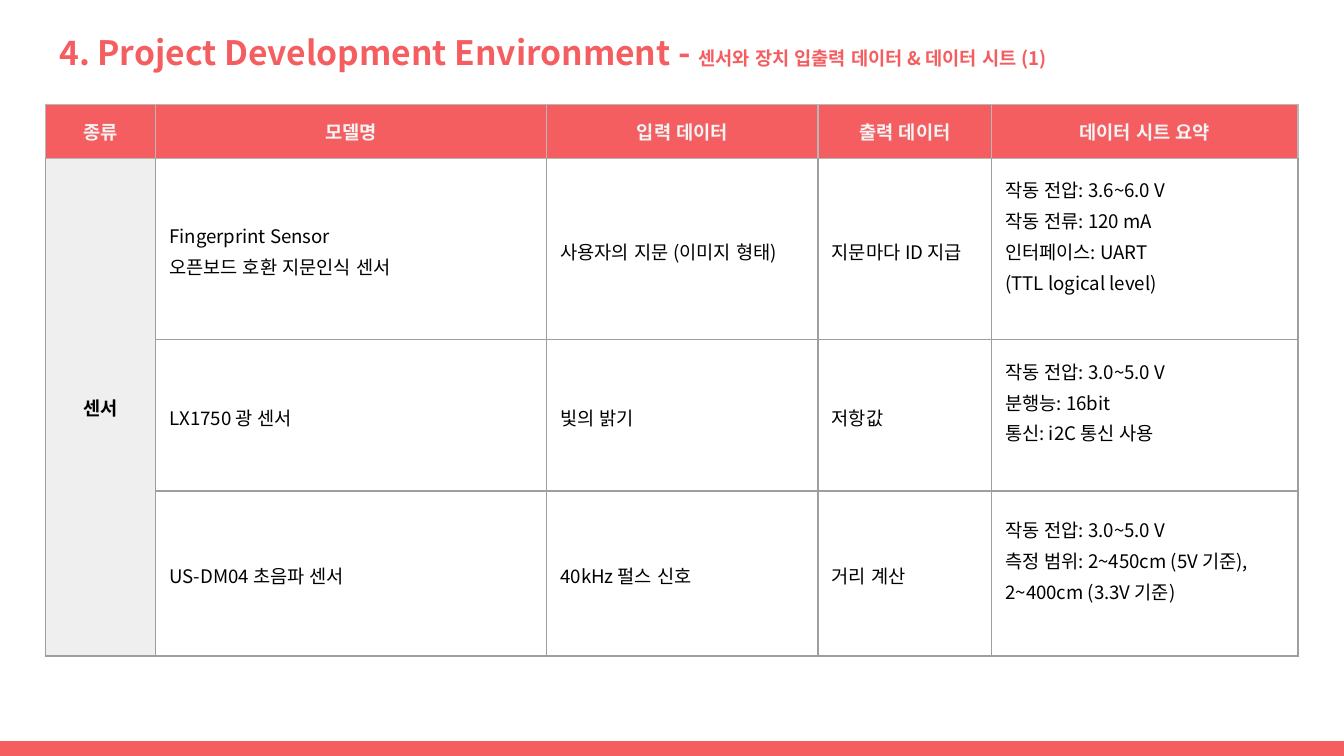
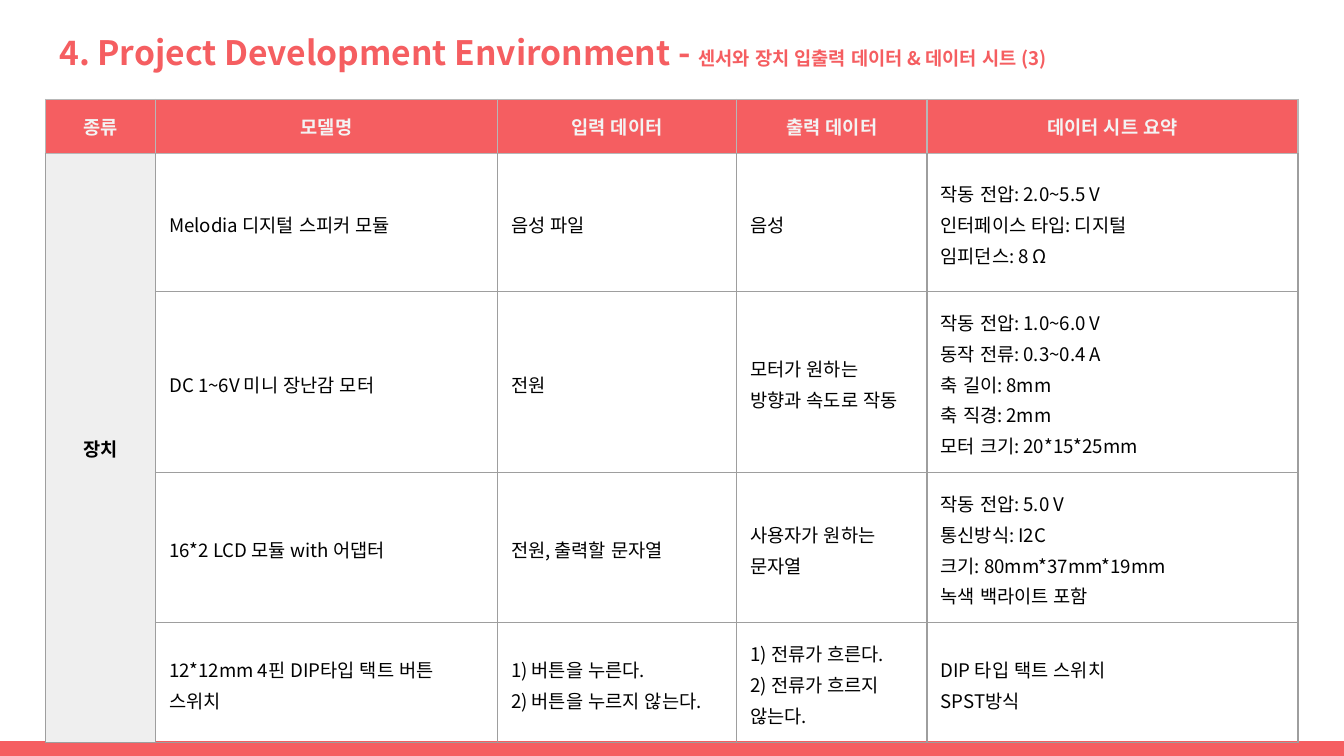
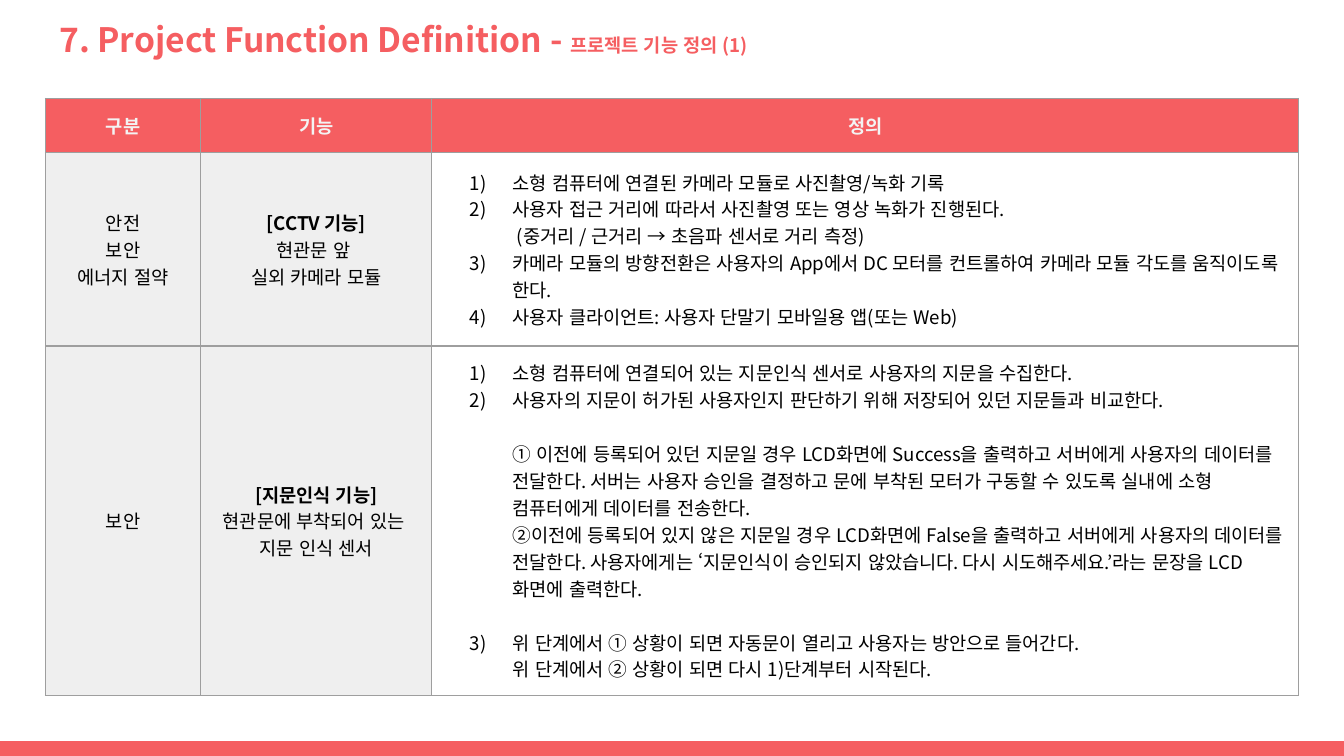
"""Build three slides of tables about project sensors, devices and functions."""
from dataclasses import dataclass

from lxml.etree import SubElement
from pptx import Presentation
from pptx.dml.color import RGBColor
from pptx.enum.lang import MSO_LANGUAGE_ID
from pptx.enum.shapes import MSO_SHAPE
from pptx.enum.text import MSO_ANCHOR, PP_ALIGN
from pptx.oxml.ns import qn
from pptx.util import Cm, Pt


@dataclass(frozen=True)
class Theme:
    font: str = "Noto Sans CJK KR"
    accent: str = "F55E61"
    header_text: str = "F3F3F3"
    text: str = "000000"
    label_fill: str = "EFEFEF"
    border: str = "9E9E9E"
    header_border: str = "B7B7B7"
    title_size: float = 18
    body_size: float = 10
    blank_line: float = 14.5


@dataclass(frozen=True)
class Line:
    text: str
    bold: bool = False
    indented: bool = False
    numbered: bool = False
    gap: bool = False


THEME = Theme()
SIDE_MARGIN = Cm(0.26)
MARGIN = Cm(0.25)
LEFT = Cm(0.86)


def add_run(paragraph, text, size, color, bold):
    run = paragraph.add_run()
    run.text = text
    run.font.size = Pt(size)
    run.font.bold = bold
    run.font.name = THEME.font
    run.font.language_id = MSO_LANGUAGE_ID.KOREAN
    run.font.color.rgb = RGBColor.from_string(color)
    east_asian = SubElement(run.font._element, qn("a:ea"))
    east_asian.set("typeface", THEME.font)


def style_cell(cell, fill, border, top_border):
    cell.vertical_anchor = MSO_ANCHOR.MIDDLE
    cell.margin_left = cell.margin_right = SIDE_MARGIN
    cell.margin_top = cell.margin_bottom = MARGIN
    properties = cell._tc.get_or_add_tcPr()
    for side, color in (("L", border), ("R", border), ("T", top_border), ("B", border)):
        edge = SubElement(properties, qn(f"a:ln{side}"), w=str(Pt(0.75)))
        solid = SubElement(edge, qn("a:solidFill"))
        SubElement(solid, qn("a:srgbClr"), val=color)
    if fill:
        cell.fill.solid()
        cell.fill.fore_color.rgb = RGBColor.from_string(fill)
    else:
        cell.fill.background()


environment = "4. Project Development Environment - "
environment_header = ["종류", "모델명", "입력 데이터", "출력 데이터", "데이터 시트 요약"]

pages = [
    {
        "title": environment,
        "subtitle": "센서와 장치 입출력 데이터 & 데이터 시트 (1)",
        "title_top": 0.36,
        "table_top": 1.98,
        "columns": [2.08, 7.39, 5.13, 3.28, 5.79],
        "rows": [1.02, 3.42, 2.86, 3.12],
        "header": environment_header,
        "header_border": THEME.header_border,
        "labels": 1,
        "merged": True,
        "spacing": 1.15,
        "summary_bottom": Cm(0.83),
        "body": [
            ["센서", "Fingerprint Sensor\n오픈보드 호환 지문인식 센서",
             "사용자의 지문 (이미지 형태)", "지문마다 ID 지급",
             "작동 전압: 3.6~6.0 V\n작동 전류: 120 mA\n인터페이스: UART\n(TTL logical level)"],
            ["", "LX1750 광 센서", "빛의 밝기", "저항값",
             "작동 전압: 3.0~5.0 V\n분행능: 16bit\n통신: i2C 통신 사용"],
            ["", "US-DM04 초음파 센서", "40kHz 펄스 신호", "거리 계산",
             "작동 전압: 3.0~5.0 V\n측정 범위: 2~450cm (5V 기준), 2~400cm (3.3V 기준)"],
        ],
    },
    {
        "title": environment,
        "subtitle": "센서와 장치 입출력 데이터 & 데이터 시트 (3)",
        "title_top": 0.36,
        "table_top": 1.88,
        "columns": [2.08, 6.46, 4.52, 3.6, 7.01],
        "rows": [1.02, 2.61, 3.42, 2.84, 2.27],
        "header": environment_header,
        "header_border": THEME.header_border,
        "labels": 1,
        "merged": True,
        "spacing": 1.15,
        "summary_bottom": MARGIN,
        "body": [
            ["장치", "Melodia 디지털 스피커 모듈", "음성 파일", "음성",
             "작동 전압: 2.0~5.5 V\n인터페이스 타입: 디지털\n임피던스: 8 Ω"],
            ["", "DC 1~6V 미니 장난감 모터", "전원", "모터가 원하는 방향과 속도로 작동",
             "작동 전압: 1.0~6.0 V\n동작 전류: 0.3~0.4 A\n축 길이: 8mm\n"
             "축 직경: 2mm\n모터 크기: 20*15*25mm"],
            ["", "16*2 LCD 모듈 with 어댑터", "전원, 출력할 문자열", "사용자가 원하는 문자열",
             "작동 전압: 5.0 V\n통신방식: I2C\n크기: 80mm*37mm*19mm\n녹색 백라이트 포함"],
            ["", "12*12mm 4핀 DIP타입 택트 버튼 스위치",
             "1) 버튼을 누른다.\n2) 버튼을 누르지 않는다.",
             "1) 전류가 흐른다.\n2) 전류가 흐르지 않는다.",
             "DIP 타입 택트 스위치\nSPST방식"],
        ],
    },
    {
        "title": "7. Project Function Definition - ",
        "subtitle": "프로젝트 기능 정의 (1)",
        "title_top": 0.1,
        "table_top": 1.86,
        "columns": [2.93, 4.37, 16.38],
        "rows": [1.02, 3.66, 6.61],
        "header": ["구분", "기능", "정의"],
        "header_border": THEME.border,
        "labels": 2,
        "merged": False,
        "spacing": 1.0,
        "summary_bottom": MARGIN,
        "body": [
            ["안전\n보안\n에너지 절약",
             [Line("[CCTV 기능]", bold=True), Line("현관문 앞 "), Line("실외 카메라 모듈")],
             [Line("소형 컴퓨터에 연결된 카메라 모듈로 사진촬영/녹화 기록", numbered=True),
              Line("사용자 접근 거리에 따라서 사진촬영 또는 영상 녹화가 진행된다.", numbered=True),
              Line(" (중거리 / 근거리 → 초음파 센서로 거리 측정)", indented=True),
              Line("카메라 모듈의 방향전환은 사용자의 App에서 DC 모터를 컨트롤하여 "
                   "카메라 모듈 각도를 움직이도록 한다.", numbered=True),
              Line("사용자 클라이언트: 사용자 단말기 모바일용 앱(또는 Web)", numbered=True)]],
            ["보안",
             [Line("[지문인식 기능]", bold=True), Line("현관문에 부착되어 있는 "),
              Line("지문 인식 센서")],
             [Line("소형 컴퓨터에 연결되어 있는 지문인식 센서로 사용자의 지문을 수집한다.",
                   numbered=True),
              Line("사용자의 지문이 허가된 사용자인지 판단하기 위해 저장되어 있던 "
                   "지문들과 비교한다.", numbered=True),
              Line("① 이전에 등록되어 있던 지문일 경우 LCD화면에 Success을 출력하고 "
                   "서버에게 사용자의 데이터를 전달한다. 서버는 사용자 승인을 결정하고 "
                   "문에 부착된 모터가 구동할 수 있도록 실내에 소형 컴퓨터에게 "
                   "데이터를 전송한다.", indented=True, gap=True),
              Line("②이전에 등록되어 있지 않은 지문일 경우 LCD화면에 False을 출력하고 "
                   "서버에게 사용자의 데이터를 전달한다. 사용자에게는 ‘지문인식이 "
                   "승인되지 않았습니다. 다시 시도해주세요.’라는 문장을 LCD화면에 "
                   "출력한다.", indented=True),
              Line("위 단계에서 ① 상황이 되면 자동문이 열리고 사용자는 방안으로 들어간다.",
                   numbered=True, gap=True),
              Line("위 단계에서 ② 상황이 되면 다시 1)단계부터 시작된다.", indented=True)]],
        ],
    },
]

presentation = Presentation()
presentation.slide_width = Cm(25.4)
presentation.slide_height = Cm(14.29)

for page in pages:
    slide = presentation.slides.add_slide(presentation.slide_layouts[6])

    footer_band = slide.shapes.add_shape(MSO_SHAPE.RECTANGLE, 0, Cm(14.01), Cm(25.4), Cm(0.28))
    footer_band.shadow.inherit = False
    footer_band.fill.solid()
    footer_band.fill.fore_color.rgb = RGBColor.from_string(THEME.accent)
    footer_band.line.fill.background()

    heading = slide.shapes.add_textbox(LEFT, Cm(page["title_top"]), Cm(23.67), Cm(1.52)).text_frame
    heading.word_wrap = True
    heading.margin_left = heading.margin_right = SIDE_MARGIN
    heading.margin_top = heading.margin_bottom = MARGIN
    add_run(heading.paragraphs[0], page["title"], THEME.title_size, THEME.accent, True)
    add_run(heading.paragraphs[0], page["subtitle"], THEME.body_size, THEME.accent, True)

    widths, heights = page["columns"], page["rows"]
    table = slide.shapes.add_table(
        len(heights), len(widths), LEFT, Cm(page["table_top"]),
        Cm(sum(widths)), Cm(sum(heights))).table
    table.first_row = table.horz_banding = False
    for column, width in zip(table.columns, widths):
        column.width = Cm(width)
    for row, height in zip(table.rows, heights):
        row.height = Cm(height)

    for row_index, entries in enumerate([page["header"], *page["body"]]):
        for column_index, entry in enumerate(entries):
            cell = table.cell(row_index, column_index)
            is_header = row_index == 0
            is_label = column_index < page["labels"]
            fill = THEME.accent if is_header else THEME.label_fill if is_label else None
            border = page["header_border"] if is_header else THEME.border
            top_border = page["header_border"] if row_index <= 1 else THEME.border
            style_cell(cell, fill, border, top_border)
            if not is_header and column_index == len(widths) - 1:
                cell.margin_bottom = page["summary_bottom"]
            if not entry:
                continue

            strong = is_header or (is_label and page["merged"])
            color = THEME.header_text if is_header else THEME.text
            lines = [Line(text) for text in entry.split("\n")] if isinstance(entry, str) else entry
            for line_index, line in enumerate(lines):
                frame = cell.text_frame
                paragraph = frame.add_paragraph() if line_index else frame.paragraphs[0]
                centred = is_header or is_label
                paragraph.alignment = PP_ALIGN.CENTER if centred else PP_ALIGN.LEFT
                if not centred:
                    paragraph.line_spacing = page["spacing"]
                if line.gap:
                    paragraph.space_before = Pt(THEME.blank_line)
                layout = paragraph._p.get_or_add_pPr()
                if line.indented or line.numbered:
                    layout.set("marL", str(Cm(1.27)))
                    layout.set("indent", str(-Cm(0.81) if line.numbered else 0))
                if line.numbered:
                    number_color = SubElement(layout, qn("a:buClr"))
                    SubElement(number_color, qn("a:srgbClr"), val=THEME.text)
                    SubElement(layout, qn("a:buAutoNum"), type="arabicParenR")
                add_run(paragraph, line.text, THEME.body_size, color, strong or line.bold)

    if page["merged"]:
        table.cell(1, 0).merge(table.cell(len(heights) - 1, 0))

presentation.save("out.pptx")
